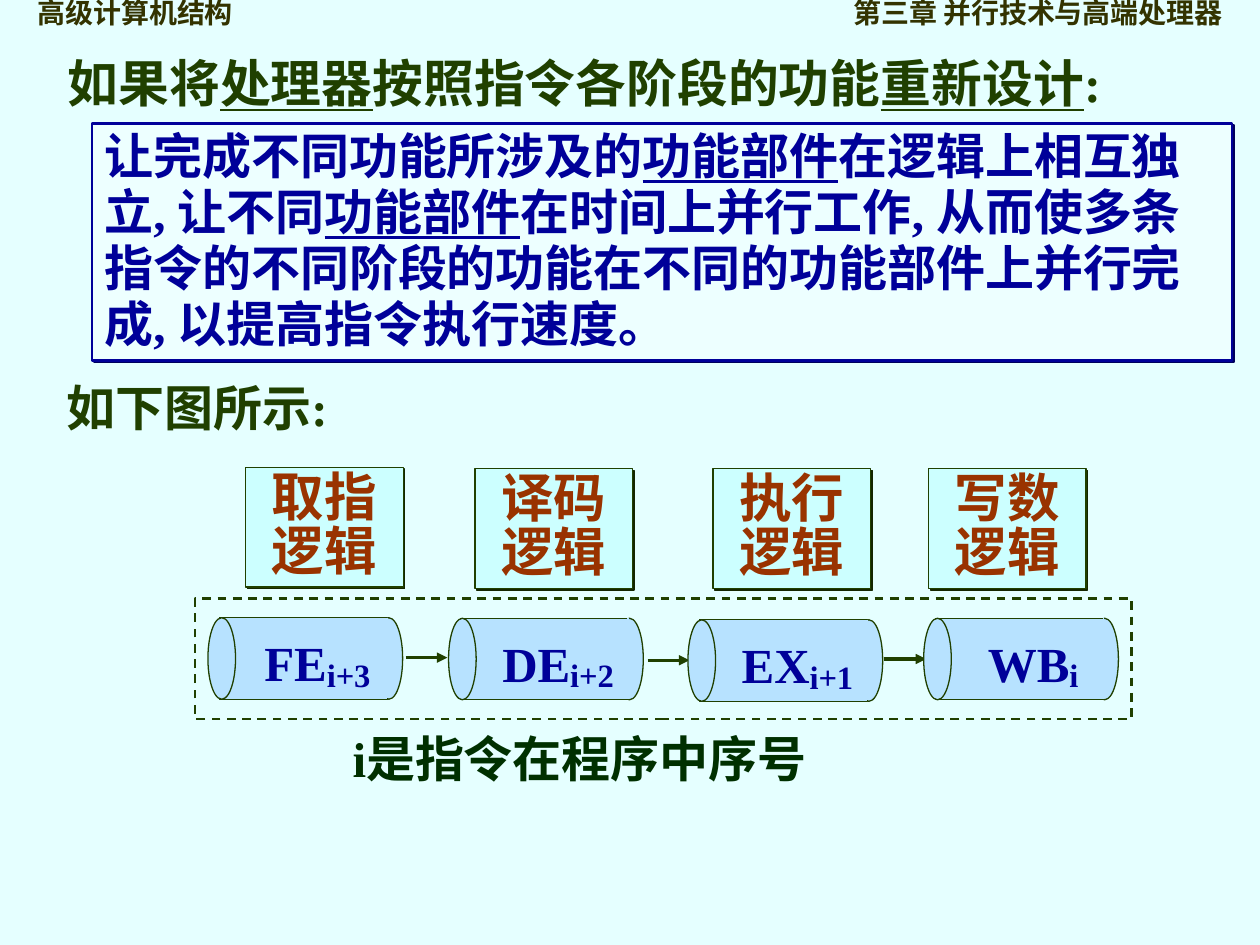
import pptx
import pptx.dml.color
import pptx.enum.dml
import pptx.enum.shapes
import pptx.enum.text
import pptx.oxml
import pptx.oxml.ns
import pptx.util

Pt = pptx.util.Pt
KIND = pptx.enum.shapes.MSO_SHAPE
ALIGN = pptx.enum.text.PP_ALIGN
SERIF = "Times New Roman"
SANS = "Noto Sans CJK JP"
GREEN = "204000"
BLUE = "000099"
SKY = "B7E2FF"
NS = pptx.oxml.ns.nsdecls("a")


def color(text):
    return pptx.dml.color.RGBColor.from_string(text)


def append(shape, xml):
    shape._element.spPr.append(pptx.oxml.parse_xml(xml))


def write(shape, runs, size, ink, font=SERIF, align=ALIGN.LEFT, space=None):
    frame = shape.text_frame
    frame.word_wrap = True
    frame.vertical_anchor = pptx.enum.text.MSO_ANCHOR.TOP
    para = frame.paragraphs[0]
    para.alignment = align
    if space:
        para.line_spacing = space
    para.font.size = Pt(size)
    para.font.name = font
    para.font.bold = True
    para.font.color.rgb = color(ink)
    for text in runs:
        para.add_run().text = text
    return para.runs


def label(slide, box, runs, size, ink, **style):
    shape = slide.shapes.add_textbox(*map(Pt, box))
    return write(shape, runs, size, ink, **style)


def under(runs):
    for run in runs[1::2]:
        run.font.underline = True


def block(slide, kind, box, fill=None, ink=GREEN, width=0.75):
    shape = slide.shapes.add_shape(kind, *map(Pt, box))
    shape.shadow.inherit = False
    if fill:
        shape.fill.solid()
        shape.fill.fore_color.rgb = color(fill)
    else:
        shape.fill.background()
    shape.line.color.rgb = color(ink)
    shape.line.width = Pt(width)
    return shape


def panel(slide, box, fill, ink, shade, width):
    shape = block(slide, KIND.RECTANGLE, box, fill, ink, width)
    props = shape._element.spPr
    props.remove(props.find(pptx.oxml.ns.qn("a:effectLst")))
    append(shape, f'<a:effectLst {NS}><a:outerShdw dist="{Pt(1.4)}" dir="2700000" algn="ctr" '
                  f'rotWithShape="0"><a:srgbClr val="{shade}"/></a:outerShdw></a:effectLst>')
    return shape


def stroke(slide, start, end, ink, width, head=False):
    line = slide.shapes.add_connector(
        pptx.enum.shapes.MSO_CONNECTOR.STRAIGHT, *map(Pt, start + end))
    line.line.color.rgb = color(ink)
    line.line.width = Pt(width)
    if head:
        edge = line.line._get_or_add_ln()
        edge.append(pptx.oxml.parse_xml(f'<a:tailEnd {NS} type="triangle"/>'))
    append(line, f"<a:effectLst {NS}/>")


def drum(slide, left, top, name, index):
    high = 46.6
    block(slide, KIND.OVAL, (left + 95.5, top, 15.8, high), SKY)
    block(slide, KIND.RECTANGLE, (left + 6.8, top, 96, high), SKY)
    block(slide, KIND.OVAL, (left, top, 15.8, high), SKY)
    seam = left + 102.6
    stroke(slide, (seam, top), (seam, top + high - 0.5), SKY, 0.75)
    runs = label(slide, (left + 15.8, top + 1, 93.6, 46), (name, index), 28, BLUE,
                 align=ALIGN.CENTER)
    runs[1].font.size = Pt(32)
    runs[1].font._element.set("baseline", "-10000")


def main():
    deck = pptx.Presentation()
    deck.slide_width, deck.slide_height = Pt(720), Pt(540)
    slide = deck.slides.add_slide(deck.slide_layouts[6])
    slide.background.fill.solid()
    slide.background.fill.fore_color.rgb = color("E5FFFF")

    heads = ((14.4, 200, "高级计算机结构", ALIGN.LEFT),
             (405.8, 300, "第三章 并行技术与高端处理器", ALIGN.RIGHT))
    for left, width, text, align in heads:
        label(slide, (left, 0, width, 20), [text], 16, "333300",
              font=SANS, align=align, space=0.65)

    under(label(slide, (31.7, 25.9, 688.3, 42.5),
                ("如果将", "处理器", "按照指令各阶段的功能", "重新设计", ":"), 29, GREEN))

    note = panel(slide, (52.6, 70.6, 651.6, 135.4), "EDFFFF", BLUE, "00005C", 1.25)
    under(write(note, (
        "让完成不同功能所涉及的", "功能部件", "在逻辑上相互独立, 让不同", "功能部件",
        "在时间上并行工作, 从而使多条指令的不同阶段的功能在不同的功能部件上并行完成, "
        "以提高指令执行速度。"), 28, BLUE, space=0.95))

    label(slide, (31, 212.4, 183, 41), ["如下图所示:"], 28, GREEN)

    steps = ((140.4, 267.1, "取指逻辑"), (271.4, 267.8, "译码逻辑"),
             (407.5, 267.8, "执行逻辑"), (530.6, 267.8, "写数逻辑"))
    for left, top, text in steps:
        card = panel(slide, (left, top, 90, 68.4), "CCFFFF", GREEN, "132600", 0.75)
        write(card, [text], 30, "993300", align=ALIGN.CENTER, space=0.85)

    runs = label(slide, (194.4, 412.6, 299, 41), ("i", "是指令在程序中序号"), 28, "003000")
    runs[1].font.name = SANS

    frame = block(slide, KIND.RECTANGLE, (111.6, 342, 535, 69), width=1.25)
    frame.line.dash_style = pptx.enum.dml.MSO_LINE.DASH

    for left, top in ((231.8, 375.8), (370.1, 377.3), (505.4, 376.6)):
        stroke(slide, (left, top), (left + 23.8, top), GREEN, 1.75, head=True)

    drums = ((118.8, 353, "FE", "i+3"), (256.3, 353.3, "DE", "i+2"),
             (393.1, 354.2, "EX", "i+1"), (527.8, 353.3, "WB", "i"))
    for left, top, name, index in drums:
        drum(slide, left, top, name, index)

    deck.save("out.pptx")


if __name__ == "__main__":
    main()
